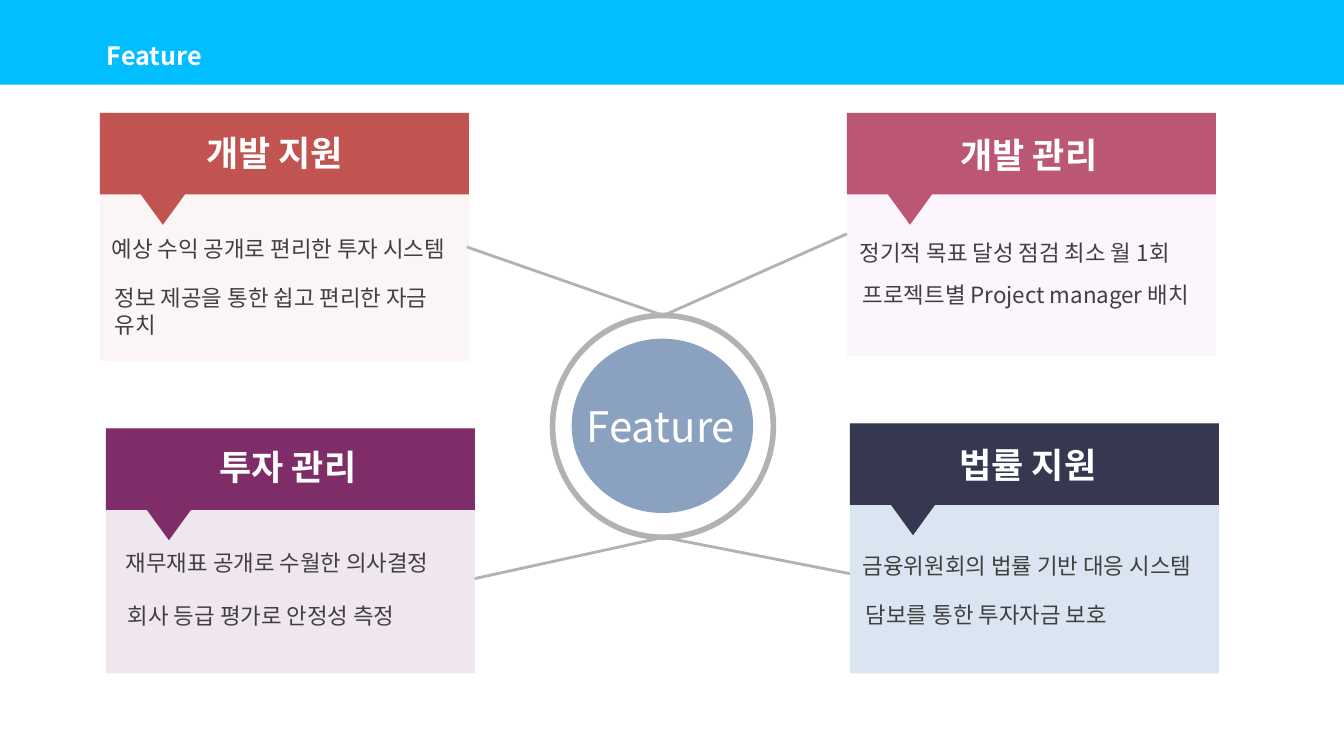
from dataclasses import dataclass

from lxml import etree
from pptx import Presentation
from pptx.dml.color import RGBColor
from pptx.enum.shapes import MSO_CONNECTOR, MSO_SHAPE
from pptx.enum.text import MSO_ANCHOR, MSO_AUTO_SIZE, PP_ALIGN
from pptx.oxml.ns import qn
from pptx.util import Inches, Pt

RECTANGLE = MSO_SHAPE.RECTANGLE
TRIANGLE = MSO_SHAPE.ISOSCELES_TRIANGLE
OVAL = MSO_SHAPE.OVAL
STRAIGHT = MSO_CONNECTOR.STRAIGHT
LEFT = PP_ALIGN.LEFT
TOP, MIDDLE = MSO_ANCHOR.TOP, MSO_ANCHOR.MIDDLE
NO_AUTOFIT = MSO_AUTO_SIZE.NONE

# Grid of 133.3 columns by 75 rows, each a tenth of an inch
CELL = Inches(0.1)
COLUMNS, ROWS = 133.3, 75
FONT = "Noto Sans CJK KR"
WHITE, SKY, GRAY, INK = "FFFFFF", "00BEFF", "B2B2B2", "404040"

CARD_WIDTH, HEADER_HEIGHT = 36.6, 8.1
POINTER_OFFSET, POINTER_WIDTH, POINTER_HEIGHT = 4, 4.5, 3.1
HUB_X, HUB_TOP, HUB_BOTTOM = 65.8, 31.3, 53.3


@dataclass(frozen=True)
class Box:
    left: float
    top: float
    width: float
    height: float


@dataclass(frozen=True)
class Label:
    text: str
    box: Box


@dataclass(frozen=True)
class Card:
    left: float
    top: float
    height: float
    color: str
    body_color: str
    body_opacity: int
    heading: Label
    lines: tuple[Label, ...]


@dataclass(frozen=True)
class Spoke:
    card_x: float
    card_y: float
    hub_y: float


CARDS = (
    Card(84, 11.2, 24.1, "BB5774", "E27CEA", 7,
         Label("개발 관리", Box(94.3, 12.8, 16.1, 5.2)),
         (Label("정기적 목표 달성 점검 최소 월 1회", Box(84.3, 23.2, 35.3, 3.7)),
          Label("프로젝트별 Project manager 배치", Box(84.6, 27.4, 36.3, 3.7)))),
    Card(84.3, 42, 24.8, "363750", "DBE5F1", 100,
         Label("법률 지원", Box(94.2, 43.5, 16.1, 5.2)),
         (Label("금융위원회의 법률 기반 대응 시스템", Box(84.6, 54.3, 37.2, 3.7)),
          Label("담보를 통한 투자자금 보호", Box(84.9, 59.1, 30.6, 3.7)))),
    Card(9.9, 11.2, 24.6, "C15451", "F0D5D4", 22,
         Label("개발 지원", Box(19.5, 12.6, 16.1, 5.2)),
         (Label("예상 수익 공개로 편리한 투자 시스템", Box(10.1, 22.8, 36.4, 3.7)),
          Label("정보 제공을 통한 쉽고 편리한 자금 유치", Box(10.4, 27.7, 34.6, 6.4)))),
    Card(10.5, 42.5, 24.3, "7F2D68", "7F2D68", 11,
         Label("투자 관리", Box(20.8, 43.7, 16.1, 5.2)),
         (Label("재무재표 공개로 수월한 의사결정", Box(11.5, 54, 35, 3.7)),
          Label("회사 등급 평가로 안정성 측정", Box(11.7, 59.2, 33.1, 3.7)))),
)

SPOKES = (
    Spoke(84, 23.2, HUB_TOP),
    Spoke(46.3, 24.5, HUB_TOP),
    Spoke(47.1, 57.4, HUB_BOTTOM),
    Spoke(86.8, 57.4, HUB_BOTTOM),
)


def grid(cells: float) -> int:
    return round(cells * CELL)


def bounds(box: Box) -> tuple[int, int, int, int]:
    return grid(box.left), grid(box.top), grid(box.width), grid(box.height)


def rgb(color: str) -> RGBColor:
    return RGBColor.from_string(color)


def add_figure(slide, kind, box: Box, color: str, opacity: int = 100):
    shape = slide.shapes.add_shape(kind, *bounds(box))
    shape.shadow.inherit = False
    shape.fill.solid()
    shape.fill.fore_color.rgb = rgb(color)
    shape.line.fill.background()
    if opacity < 100:
        solid = shape.fill._xPr.find(qn("a:solidFill"))
        etree.SubElement(solid[0], qn("a:alpha"), val=str(opacity * 1000))
    return shape


def write_text(shape, text: str, size: int, color: str,
               bold: bool = False, anchor=TOP) -> None:
    frame = shape.text_frame
    frame.word_wrap = True
    frame.auto_size = NO_AUTOFIT
    frame.vertical_anchor = anchor
    paragraph = frame.paragraphs[0]
    paragraph.alignment = LEFT
    run = paragraph.add_run()
    run.text = text
    run.font.size = Pt(size)
    run.font.bold = bold
    run.font.color.rgb = rgb(color)
    run.font.name = FONT
    # Korean characters take the East Asian typeface
    etree.SubElement(run.font._element, qn("a:ea"), typeface=FONT)


def add_label(slide, label: Label, size: int, color: str, bold: bool = False) -> None:
    shape = slide.shapes.add_textbox(*bounds(label.box))
    write_text(shape, label.text, size, color, bold)


def add_spoke(slide, spoke: Spoke) -> None:
    connector = slide.shapes.add_connector(
        STRAIGHT, grid(spoke.card_x), grid(spoke.card_y),
        grid(HUB_X), grid(spoke.hub_y))
    connector.line.color.rgb = rgb(GRAY)
    connector.line.width = Pt(2)
    etree.SubElement(connector._element.spPr, qn("a:effectLst"))


def add_card(slide, card: Card) -> None:
    add_figure(slide, RECTANGLE, Box(card.left, card.top, CARD_WIDTH, card.height),
               card.body_color, card.body_opacity)
    pointer = add_figure(
        slide, TRIANGLE,
        Box(card.left + POINTER_OFFSET, card.top + HEADER_HEIGHT - 0.1,
            POINTER_WIDTH, POINTER_HEIGHT), card.color)
    pointer.rotation = 180
    add_figure(slide, RECTANGLE, Box(card.left, card.top, CARD_WIDTH, HEADER_HEIGHT),
               card.color)
    add_label(slide, card.heading, 25, WHITE, bold=True)
    for line in card.lines:
        add_label(slide, line, 16, INK)


def add_hub(slide) -> None:
    add_figure(slide, OVAL, Box(56.7, 33.6, 18, 17.3), "376092", 58)
    add_label(slide, Label("Feature", Box(57.2, 39.2, 17.7, 6.1)), 30, WHITE)
    ring = add_figure(slide, OVAL, Box(54.8, HUB_TOP, 21.9, HUB_BOTTOM - HUB_TOP), WHITE)
    ring.fill.background()
    ring.line.color.rgb = rgb(GRAY)
    ring.line.width = Pt(4)


def main() -> None:
    presentation = Presentation()
    presentation.slide_width = grid(COLUMNS)
    presentation.slide_height = grid(ROWS)
    slide = presentation.slides.add_slide(presentation.slide_layouts.get_by_name("Title Only"))

    # Blue band above a white page
    slide.background.fill.solid()
    slide.background.fill.fore_color.rgb = rgb(SKY)
    add_figure(slide, RECTANGLE, Box(0, 8.4, COLUMNS, ROWS - 8.4), WHITE)

    # Title
    title = slide.shapes.title
    title.left, title.top, title.width, title.height = bounds(Box(9.6, 3.5, 24.4, 4))
    write_text(title, "Feature", 18, WHITE, bold=True, anchor=MIDDLE)

    # Spokes lie behind the cards and the hub
    for spoke in SPOKES:
        add_spoke(slide, spoke)
    for card in CARDS:
        add_card(slide, card)
    add_hub(slide)

    presentation.save("out.pptx")


if __name__ == "__main__":
    main()
